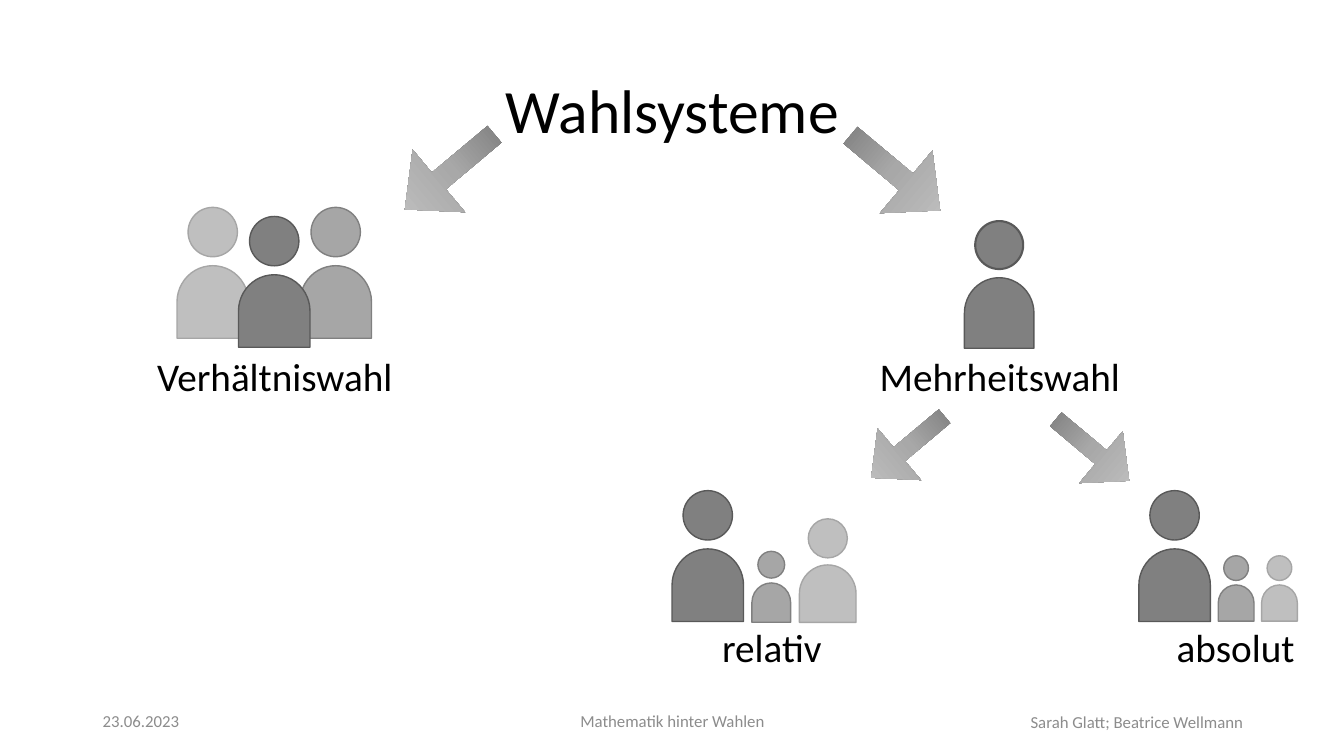
from copy import deepcopy
from pptx import Presentation
from pptx.dml.color import RGBColor
from pptx.enum.shapes import MSO_SHAPE
from pptx.enum.text import MSO_ANCHOR, MSO_AUTO_SIZE, PP_ALIGN
from pptx.util import Inches, Pt

COLORS = {
    "text": "000000", "footer": "8C8C8C",
    "dark": "808080", "dark line": "595959",
    "middle": "A6A6A6", "middle line": "808080",
    "light": "BFBFBF", "light line": "A6A6A6",
}
ARROW_STOPS = [(0, "6F6F6F"), (0.48, "A8A8A8"), (1, "C9C9C9")]
CELL = Inches(0.1)  # the grid has ten columns and ten rows to the inch

deck = Presentation()
deck.slide_width, deck.slide_height = Inches(13.33), Inches(7.5)
page = deck.slides.add_slide(deck.slide_layouts[6])


def grid(*cells):
    return [round(cell * CELL) for cell in cells]


def add_text(words, place, size, color, align, anchor):
    box = page.shapes.add_textbox(*grid(*place))
    frame = box.text_frame
    frame.word_wrap = True
    frame.vertical_anchor = anchor
    para = frame.paragraphs[0]
    para.alignment = align
    span = para.add_run()
    span.text = words
    span.font.name = "Calibri"
    span.font.size = Pt(size)
    span.font.color.rgb = RGBColor.from_string(COLORS[color])
    return box


# Title
title = add_text("Wahlsysteme", (9.2, 4, 115, 14.5), 44, "text",
                 PP_ALIGN.CENTER, MSO_ANCHOR.MIDDLE)
title.text_frame.paragraphs[0].line_spacing = 0.9

# Groups of people, back to front: centre column, foot row, body size, tone
crowds = [
    [(21.1, 33.5, 7.2, "light"), (33.3, 33.5, 7.2, "middle"), (27.2, 34.4, 7.2, "dark")],
    [(99.1, 34.5, 7, "dark")],
    [(82.1, 61.7, 5.7, "light"), (76.5, 61.7, 3.9, "middle"), (70.2, 61.6, 7.2, "dark")],
    [(126.9, 61.6, 3.6, "light"), (122.6, 61.6, 3.6, "middle"), (116.5, 61.6, 7.2, "dark")],
]
for crowd in crowds:
    group = page.shapes.add_group_shape()
    for center, foot, size, tone in crowd:
        depth, head_size = 0.985 * size, 0.68 * size
        body = group.shapes.add_shape(
            MSO_SHAPE.FLOWCHART_DELAY,
            *grid(center - size / 2, foot - depth, size, depth))
        body.rotation = 270
        head = group.shapes.add_shape(
            MSO_SHAPE.OVAL,
            *grid(center - head_size / 2, foot - 1.795 * size, head_size, head_size))
        for part in (body, head):
            part.shadow.inherit = False
            part.fill.solid()
            part.fill.fore_color.rgb = RGBColor.from_string(COLORS[tone])
            part.line.color.rgb = RGBColor.from_string(COLORS[tone + " line"])
            part.line.width = Pt(1)
        if len(crowd) == 1:
            head.line.width = Pt(1.5)

# Labels under the people
labels = [("Verhältniswahl", 13.8, 34.5), ("Mehrheitswahl", 85.7, 34.5),
          ("relativ", 63.1, 61.3), ("absolut", 109.1, 61.3)]
for words, left, top in labels:
    label = add_text(words, (left, top, 26.9, 5.7), 28, "text",
                     PP_ALIGN.CENTER, MSO_ANCHOR.TOP)
    label.text_frame.auto_size = MSO_AUTO_SIZE.SHAPE_TO_FIT_TEXT

# Arrows down the tree: place, then whether it points left
arrows = [((38.8, 13, 11.6, 8.1), True), ((83, 13.1, 11.6, 8.1), False),
          ((85.3, 41, 9.5, 6.7), True), ((103.6, 41.3, 9.5, 6.7), False)]
for place, points_left in arrows:
    arrow = page.shapes.add_shape(MSO_SHAPE.RIGHT_ARROW, *grid(*place))
    arrow.adjustments[0], arrow.adjustments[1] = 0.265, 0.543
    arrow.rotation = 320 if points_left else 40
    if points_left:
        arrow._element.spPr.xfrm.set("flipH", "1")
    arrow.shadow.inherit = False
    arrow.line.fill.background()
    arrow.fill.gradient()
    arrow.fill.gradient_angle = 0
    first_stop = arrow.fill.gradient_stops[0]._gs
    first_stop.addnext(deepcopy(first_stop))
    for stop, (position, color) in zip(arrow.fill.gradient_stops, ARROW_STOPS):
        stop.position = position
        stop.color.rgb = RGBColor.from_string(color)

# Footer
footers = [("23.06.2023", (9.2, 69.5, 30, 4), PP_ALIGN.LEFT),
           ("Mathematik hinter Wahlen", (44.2, 69.5, 45, 4), PP_ALIGN.CENTER),
           ("Sarah Glatt; Beatrice Wellmann", (94.3, 69.6, 30, 4), PP_ALIGN.RIGHT)]
for words, place, align in footers:
    add_text(words, place, 12, "footer", align, MSO_ANCHOR.MIDDLE)

deck.save("out.pptx")
